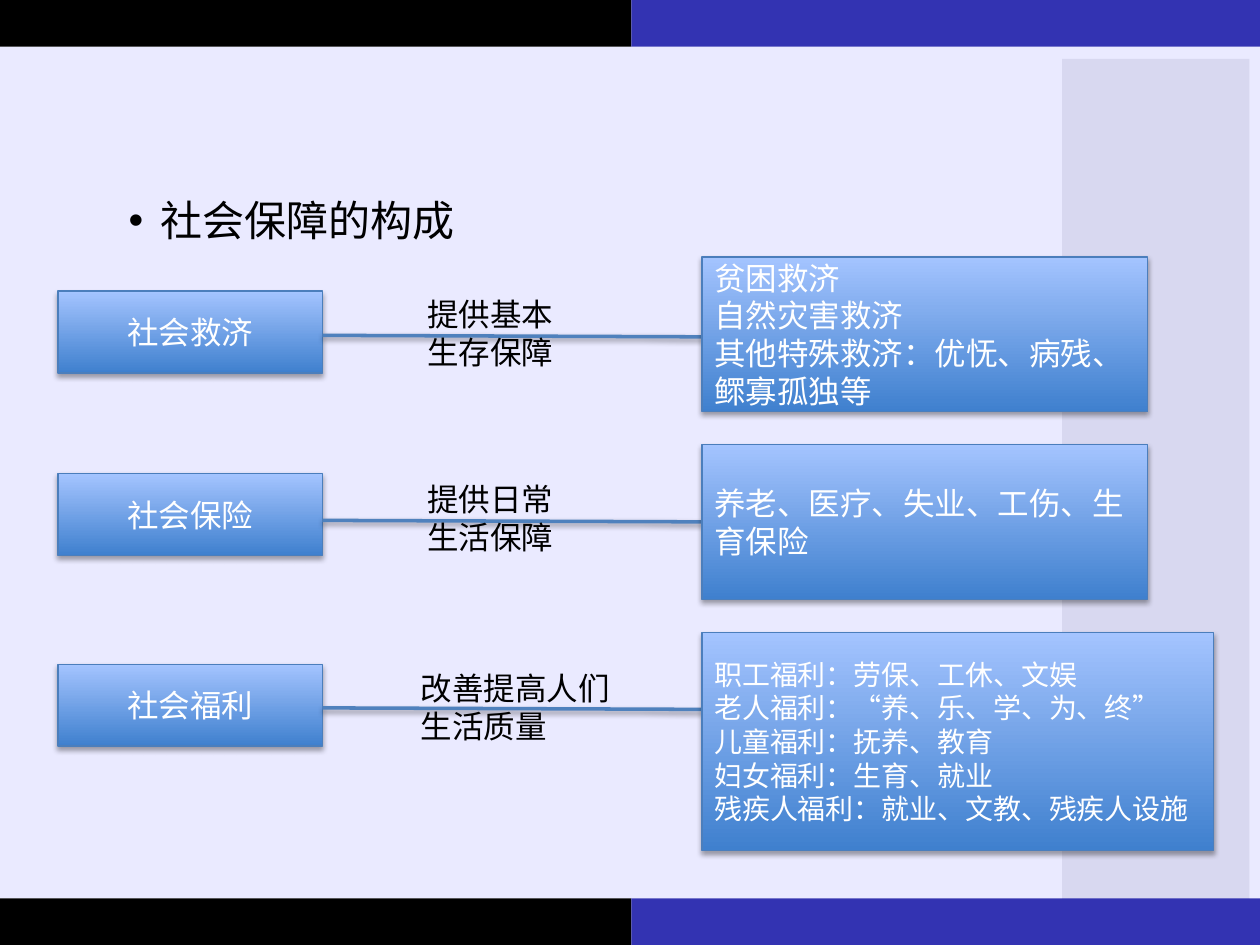
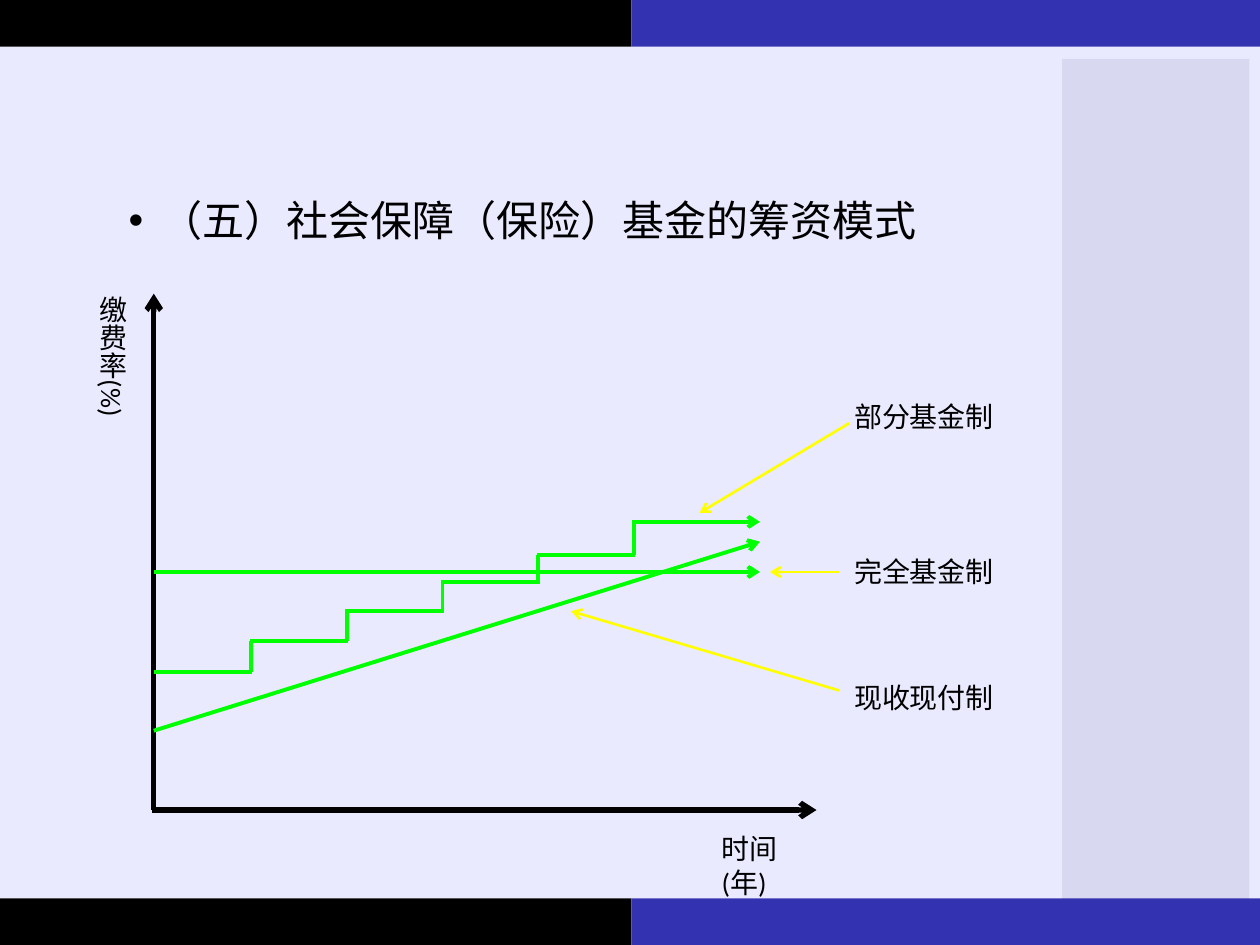
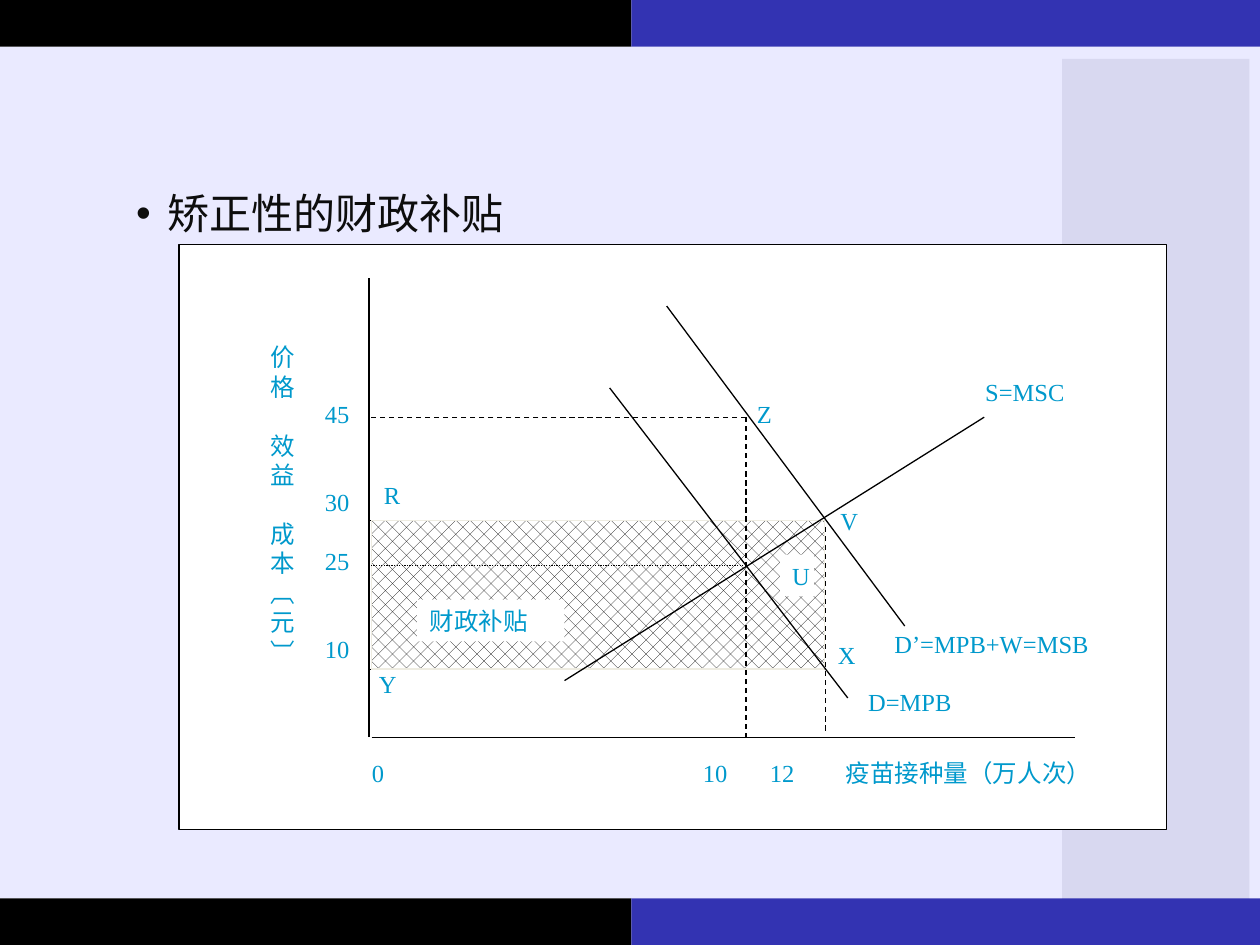
"""Build three slides on social security: its parts, its funding modes and corrective subsidies."""
from dataclasses import dataclass

from lxml import etree
from pptx import Presentation
from pptx import util as u
from pptx.dml.color import RGBColor
from pptx.enum import dml, shapes, text
from pptx.oxml import parse_xml
from pptx.oxml.ns import nsdecls, qn


@dataclass(frozen=True)
class Theme:
    """Colours, fonts and type sizes."""
    black: str = "000000"
    white: str = "FFFFFF"
    soft_black: str = "0D0D0D"
    indigo: str = "3333B2"
    page: str = "EAEAFF"
    side: str = "D8D8F0"
    box_dark: str = "3F80CE"
    box_light: str = "A4C4FF"
    box_line: str = "4B7EBC"
    link: str = "4F81BD"
    curve: str = "00FF00"
    pointer: str = "FFFF00"
    label: str = "0099CC"
    hatch_line: str = "EEECE1"
    cjk: str = "Noto Sans CJK SC"
    latin: str = "Calibri"
    serif: str = "Times New Roman"
    title_size: float = 24
    body_size: float = 18
    small_size: float = 16
    chart_size: float = 14
    chart_leading: float = 16.8


THEME = Theme()
WIDTH, HEIGHT = 25.4, 19.05
BAND, SPLIT = 0.94, 12.73

BANDS = [
    (0, BAND, WIDTH, HEIGHT - 2 * BAND, THEME.page),
    (0, 0, SPLIT, BAND, THEME.black),
    (SPLIT, 0, WIDTH - SPLIT, BAND, THEME.indigo),
    (21.41, 1.19, 3.78, 17.12, THEME.side),
    (0, HEIGHT - BAND, SPLIT, BAND, THEME.black),
    (SPLIT, HEIGHT - BAND, WIDTH - SPLIT, BAND, THEME.indigo),
]

BRANCHES = [
    dict(name="社会救济", top=5.87, link=6.76,
         aim="提供基本生存保障", aim_at=(8.36, 5.82, 3.07, 1.8),
         items=["贫困救济", "自然灾害救济", "其他特殊救济：优怃、病残、鳏寡孤独等"],
         panel=(8.99, 3.12), size=THEME.body_size),
    dict(name="社会保险", top=9.55, link=10.49,
         aim="提供日常生活保障", aim_at=(8.36, 9.55, 3.51, 1.8),
         items=["养老、医疗、失业、工伤、生育保险"],
         panel=(8.99, 3.12), size=THEME.body_size),
    dict(name="社会福利", top=13.39, link=14.27,
         aim="改善提高人们生活质量", aim_at=(8.23, 13.36, 4.5, 1.8),
         items=["职工福利：劳保、工休、文娱", "老人福利：“养、乐、学、为、终”",
                "儿童福利：抚养、教育", "妇女福利：生育、就业",
                "残疾人福利：就业、文教、残疾人设施"],
         panel=(10.31, 4.39), size=THEME.small_size),
]

FUND_AXES = [(3.1, 16.33, 3.1, 5.92), (3.07, 16.33, 16.46, 16.33)]
FUND_CURVES = [(3.1, 14.73, 15.32, 10.92), (3.1, 11.53, 15.32, 11.53)]
STEP_LEVELS = [13.54, 12.93, 12.32, 11.73, 11.18, 10.52]
STEP_LEFT, STEP_RUN, STEP_END, STEP_LAP = 3.1, 1.93, 15.32, 0.03
FUND_MODES = [
    ("部分基金制", 7.92, (17.12, 8.53, 14.1, 10.34)),
    ("完全基金制", 11.05, (16.92, 11.53, 15.52, 11.53)),
    ("现收现付制", 13.59, (16.92, 13.92, 11.51, 12.32)),
]

DASH, DOT = dml.MSO_LINE.DASH, dml.MSO_LINE.ROUND_DOT
LINES_BELOW = [
    (7.49, 14.86, 21.67, 14.86, None),
    (7.44, 14.86, 7.44, 5.61, None),
    (16.64, 13.49, 7.42, 13.49, DOT),
    (16.64, 10.49, 7.42, 10.49, DOT),
    (15.04, 8.41, 7.42, 8.41, DASH),
    (16.64, 10.62, 16.64, 14.76, DASH),
    (13.44, 6.17, 18.24, 12.62, None),
]
LINES_ABOVE = [
    (12.29, 7.82, 17.09, 14.07, None),
    (11.38, 13.72, 19.84, 8.41, None),
    (15.04, 8.41, 15.04, 14.86, DASH),
    (15.04, 11.4, 7.42, 11.4, DOT),
]
PRICE_TITLE = [("价格", 0), ("效益", 1), ("成本︹元︺", 1)]
PRICE_TICKS = [("45", 0), ("30", 2), ("25", 1), ("10", 2)]
CHART_LABELS = [
    ("Z", 15.01, 7.92, 0.9), ("R", 7.49, 9.55, 0.9),
    ("V", 16.69, 10.08, 0.9), ("X", 16.64, 12.78, 0.9),
    ("Y", 7.39, 13.36, 0.9), ("S=MSC", 19.61, 7.47, 2.4),
    ("D’=MPB+W=MSB", 17.78, 12.55, 4.8), ("D=MPB", 17.25, 13.72, 2.6),
    ("0", 7.25, 15.16, 0.9), ("10", 13.92, 15.16, 1.2),
    ("12", 15.27, 15.16, 1.2), ("疫苗接种量（万人次）", 16.8, 15.16, 6.4),
]
MASKED_LABELS = [("财政补贴", 8.41, 12.09, 2.97), ("U", 15.72, 11.18, 0.69)]
LABEL_HEIGHT = 0.84


def colour(value):
    return RGBColor.from_string(value)


def box_of(*lengths):
    return [u.Cm(round(length, 2)) for length in lengths]


def add_run(paragraph, words, size, font, ink):
    run = paragraph.add_run()
    run.text = words
    run.font.size = u.Pt(size)
    run.font.name = font
    run.font.color.rgb = colour(ink)
    etree.SubElement(run.font._element, qn("a:ea")).set("typeface", THEME.cjk)


def write(shape, lines, size, font, ink, wrap=True,
          align=text.PP_ALIGN.LEFT, anchor=text.MSO_ANCHOR.TOP):
    frame = shape.text_frame
    frame.word_wrap = wrap
    frame.vertical_anchor = anchor
    for index, line in enumerate(lines):
        paragraph = frame.add_paragraph() if index else frame.paragraphs[0]
        paragraph.alignment = align
        add_run(paragraph, line, size, font, ink)
    return frame


def add_text(slide, at, lines, size, font, ink, **options):
    shape = slide.shapes.add_textbox(*box_of(*at))
    return write(shape, lines, size, font, ink, **options)


def add_rect(slide, at, fill=None, line=None):
    shape = slide.shapes.add_shape(shapes.MSO_SHAPE.RECTANGLE, *box_of(*at))
    shape.shadow.inherit = False
    if fill:
        shape.fill.solid()
        shape.fill.fore_color.rgb = colour(fill)
    if line:
        shape.line.color.rgb = colour(line)
        shape.line.width = u.Pt(0.75)
    else:
        shape.line.fill.background()
    return shape


def set_shadow(shape, alpha, distance):
    properties = shape._element.spPr
    for effects in properties.findall(qn("a:effectLst")):
        properties.remove(effects)
    properties.append(parse_xml(
        f'<a:effectLst {nsdecls("a")}><a:outerShdw blurRad="{u.Pt(3.1)}" '
        f'dist="{u.Pt(distance)}" dir="5400000" rotWithShape="0">'
        f'<a:srgbClr val="{THEME.black}"><a:alpha val="{alpha * 1000}"/></a:srgbClr>'
        '</a:outerShdw></a:effectLst>'))


def add_gradient_box(slide, at):
    shape = add_rect(slide, at, line=THEME.box_line)
    shape.fill.gradient()
    shape.fill.gradient_angle = 90
    for stop, value in zip(shape.fill.gradient_stops, (THEME.box_dark, THEME.box_light)):
        stop.color.rgb = colour(value)
    set_shadow(shape, 35, 1.8)
    return shape


def add_line(slide, ends, ink, width, dash=None, arrow=False):
    line = slide.shapes.add_connector(shapes.MSO_CONNECTOR.STRAIGHT, *box_of(*ends))
    line.line.color.rgb = colour(ink)
    line.line.width = u.Pt(width)
    if dash:
        line.line.dash_style = dash
    if arrow:
        etree.SubElement(line.line._get_or_add_ln(), qn("a:tailEnd")).set("type", "arrow")
    etree.SubElement(line._element.spPr, qn("a:effectLst"))
    return line


def add_bands(slide, layout):
    for index, (*at, fill) in enumerate(BANDS):
        band = add_rect(slide, at, fill)
        band._element.nvSpPr.cNvPr.set("id", str(100 + index))
        layout.shapes.element.insert(2 + index, band._element)


def set_title(slide, words, left=2.34, top=3.91, ink=THEME.black):
    title = slide.shapes.title
    title.left, title.top, title.width, title.height = box_of(left, top, 19.1, 1.6)
    frame = write(title, [words], THEME.title_size, THEME.cjk, ink)
    frame.auto_size = text.MSO_AUTO_SIZE.NONE
    paragraph = frame.paragraphs[0]
    paragraph.line_spacing = 0.9
    paragraph.space_before = u.Pt(10)
    properties = paragraph._p.get_or_add_pPr()
    properties.set("marL", str(u.Cm(0.64)))
    properties.set("indent", str(-u.Cm(0.64)))
    etree.SubElement(properties, qn("a:buFont")).set("typeface", "Arial")
    etree.SubElement(properties, qn("a:buChar")).set("char", "•")


def build_branches(slide):
    set_title(slide, "社会保障的构成")
    name_left, name_width, panel_left = 1.17, 5.33, 14.15
    for index, branch in enumerate(BRANCHES):
        name = add_gradient_box(slide, (name_left, branch["top"], name_width, 1.65))
        write(name, [branch["name"]], THEME.body_size, THEME.cjk, THEME.white,
              align=text.PP_ALIGN.CENTER, anchor=text.MSO_ANCHOR.MIDDLE)
        link = add_line(slide, (name_left + name_width, branch["link"],
                                panel_left, branch["link"] + 0.03), THEME.link, 2)
        set_shadow(link, 38, 1.6)
        panel = add_gradient_box(slide, (panel_left, 5.18 + 3.785 * index, *branch["panel"]))
        write(panel, branch["items"], branch["size"], THEME.cjk, THEME.white,
              anchor=text.MSO_ANCHOR.MIDDLE)
        add_text(slide, branch["aim_at"], [branch["aim"]],
                 THEME.body_size, THEME.latin, THEME.black)


def build_funding(slide):
    set_title(slide, "（五）社会保障（保险）基金的筹资模式")
    for ends in FUND_AXES:
        add_line(slide, ends, THEME.black, 3, arrow=True)
    for ends in FUND_CURVES:
        add_line(slide, ends, THEME.curve, 2.25, arrow=True)
    last = len(STEP_LEVELS) - 1
    for index, level in enumerate(STEP_LEVELS):
        left = STEP_LEFT + STEP_RUN * index
        right = STEP_END if index == last else left + STEP_RUN + 2 * STEP_LAP
        add_line(slide, (left, level, right, level), THEME.curve, 2.25, arrow=index == last)
        if index:
            riser = left + STEP_LAP
            add_line(slide, (riser, STEP_LEVELS[index - 1], riser, level), THEME.curve, 2.25)
    style = (THEME.small_size, THEME.latin, THEME.black)
    middle = text.MSO_ANCHOR.MIDDLE
    for name, top, pointer in FUND_MODES:
        add_text(slide, (16.97, top, 3.33, 0.94), [name], *style, wrap=False, anchor=middle)
        add_line(slide, pointer, THEME.pointer, 1.5, arrow=True)
    time = add_text(slide, (14.3, 16.97, 2.59, 0.94), ["时间"], *style, anchor=middle)
    time.paragraphs[0].add_line_break()
    add_run(time.paragraphs[0], "(年)", *style)
    rate = add_text(slide, (1.63, 5.72, 1.27, 3), ["缴费率(%)"], *style,
                    wrap=False, anchor=middle)
    rate._txBody.bodyPr.set("vert", "eaVert")


def add_stack(slide, at, entries, style):
    frame = add_text(slide, at, [words for words, _ in entries], *style)
    for paragraph, (_, gap) in zip(frame.paragraphs, entries):
        paragraph.line_spacing = u.Pt(THEME.chart_leading)
        paragraph.space_before = u.Pt(THEME.chart_leading * gap)


def build_subsidy(slide):
    set_title(slide, "矫正性的财政补贴", 2.49, 3.76, THEME.soft_black)
    style = (THEME.chart_size, THEME.serif, THEME.label)
    add_rect(slide, (3.61, 4.93, 19.91, 11.79), THEME.white, THEME.black)
    for *ends, dash in LINES_BELOW:
        add_line(slide, ends, THEME.black, 0.75, dash)
    subsidy = add_rect(slide, (7.49, 10.49, 9.14, 3), line=THEME.hatch_line)
    subsidy.fill.patterned()
    subsidy.fill.pattern = dml.MSO_PATTERN.PERCENT_25
    subsidy.fill.fore_color.rgb = colour(THEME.black)
    subsidy.fill.back_color.rgb = colour(THEME.white)
    for words, left, top, width in MASKED_LABELS:
        mask = add_rect(slide, (left, top, width, LABEL_HEIGHT), THEME.white)
        write(mask, [words], *style)
    for *ends, dash in LINES_ABOVE:
        add_line(slide, ends, THEME.black, 0.75, dash)
    add_stack(slide, (5.21, 6.78, 1.14, 6.76), PRICE_TITLE, style)
    add_stack(slide, (6.3, 7.92, 1.65, 5.56), PRICE_TICKS, style)
    for words, left, top, width in CHART_LABELS:
        add_text(slide, (left, top, width, LABEL_HEIGHT), [words], *style)


def main():
    presentation = Presentation()
    presentation.slide_width, presentation.slide_height = box_of(WIDTH, HEIGHT)
    layout = presentation.slide_layouts.get_by_name("Title Only")
    for index, build in enumerate((build_branches, build_funding, build_subsidy)):
        slide = presentation.slides.add_slide(layout)
        if index == 0:
            add_bands(slide, layout)
        build(slide)
    presentation.save("out.pptx")


main()
